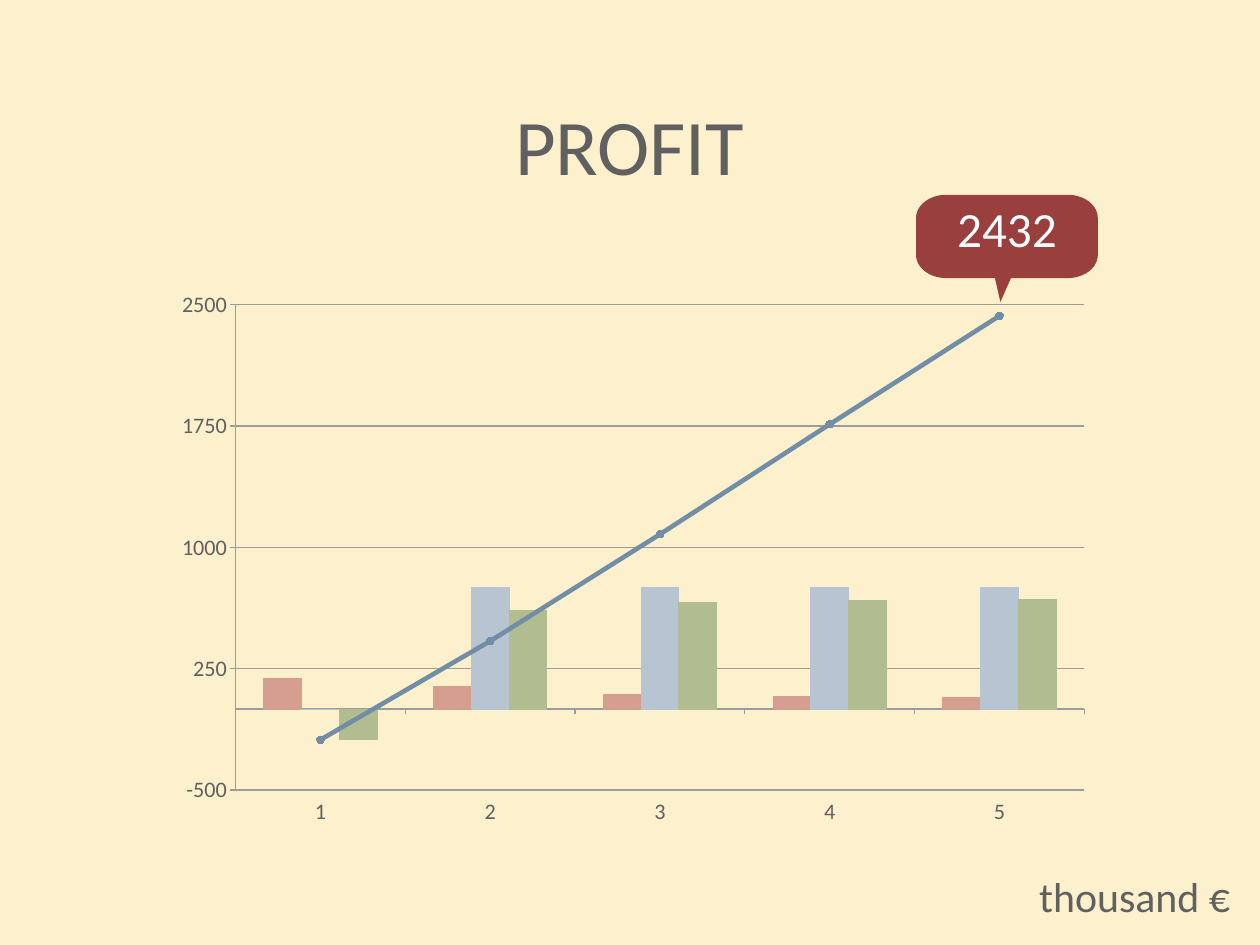
"""Build the profit slide: a column and line chart with a callout on the last value."""
from dataclasses import dataclass
from math import cos, radians, sin

from pptx import Presentation
from pptx.chart.chart import Chart
from pptx.chart.data import CategoryChartData
from pptx.dml.color import RGBColor
from pptx.enum.chart import XL_CHART_TYPE, XL_MARKER_STYLE, XL_TICK_LABEL_POSITION, XL_TICK_MARK
from pptx.enum.text import MSO_ANCHOR, PP_ALIGN
from pptx.oxml import parse_xml
from pptx.oxml.ns import nsdecls, qn
from pptx.slide import Slide
from pptx.text.text import TextFrame
from pptx.util import Inches, Length, Pt

SLIDE_WIDTH, SLIDE_HEIGHT = 14.22, 10.67
COLUMNS, ROWS = 100, 75
CREAM, GREY, RULE, RED, WHITE = "FCF0CD", "606060", "9C9C9C", "993F3E", "FEFDFF"
FONT = "Calibri"


@dataclass(frozen=True)
class Box:
    column: float
    row: float
    columns: float
    rows: float


@dataclass(frozen=True)
class Label:
    words: str
    size: int
    colour: str
    box: Box
    wrap: bool = True
    spacing: float = 1.0


@dataclass(frozen=True)
class Series:
    name: str
    values: tuple[int, ...]
    colour: str
    line_width: float = 0.75


LABELS = (
    Label("thousand €", 34, GREY, Box(82.07, 68.9, 15.96, 4.43), wrap=False),
    Label("PROFIT", 64, GREY, Box(15.4, 6.4, 69.13, 10.97), spacing=0.9),
)
CHART_BOX = Box(13.29, 22.14, 73.14, 44.28)
PLOT_SHARES = {"x": 0.074, "y": 0.046, "w": 0.921, "h": 0.87}
YEARS = ("1", "2", "3", "4", "5")
BARS = (
    Series("Series 1", (190, 140, 90, 80, 70), "D69D91"),
    Series("Series 2", (0, 750, 750, 750, 750), "B7C5D2"),
    Series("Series 3", (-190, 610, 660, 670, 680), "B2BC91"),
)
TOTAL = Series("Series 4", (-190, 420, 1080, 1760, 2430), "728EA6", 3.75)
CALLOUT_BOX = Box(72.71, 15.46, 14.42, 6.61)
CORNER = (2.39, 1.83)
TAIL = ((80.24, 22.07), (79.4, 23.97), (78.97, 22.07))


def across(columns: float) -> Length:
    """Turn grid columns into a length."""
    return Inches(columns * SLIDE_WIDTH / COLUMNS)


def down(rows: float) -> Length:
    """Turn grid rows into a length."""
    return Inches(rows * SLIDE_HEIGHT / ROWS)


def place(box: Box) -> tuple[Length, Length, Length, Length]:
    """Give the left, top, width and height of a grid box."""
    return across(box.column), down(box.row), across(box.columns), down(box.rows)


def paint(target, colour: str) -> None:
    """Give a fill or a font a colour."""
    if hasattr(target, "solid"):
        target.solid()
        target.fore_color.rgb = RGBColor.from_string(colour)
    else:
        target.color.rgb = RGBColor.from_string(colour)


def stroke(line, colour: str, width: float) -> None:
    """Give a line a colour and a width."""
    paint(line.fill, colour)
    line.width = Pt(width)


def style_font(font, size: int, colour: str, name: str = FONT) -> None:
    """Set the face, size and colour of a font."""
    font.name, font.size = name, Pt(size)
    paint(font, colour)


def write(frame: TextFrame, words: str, size: int, colour: str, anchor: MSO_ANCHOR) -> None:
    """Put centred words into a text frame."""
    frame.margin_left = frame.margin_right = Inches(0.04)
    frame.margin_top = frame.margin_bottom = Inches(0.04)
    frame.vertical_anchor = anchor
    frame.text = words
    paragraph = frame.paragraphs[0]
    paragraph.alignment = PP_ALIGN.CENTER
    style_font(paragraph.runs[0].font, size, colour)


def draw_label(slide: Slide, label: Label) -> None:
    """Draw one line of text."""
    frame = slide.shapes.add_textbox(*place(label.box)).text_frame
    frame.word_wrap = label.wrap
    write(frame, label.words, label.size, label.colour, MSO_ANCHOR.MIDDLE)
    frame.paragraphs[0].line_spacing = label.spacing


def corner(column: float, row: float, start: int) -> list[tuple[float, float]]:
    """Trace a quarter ellipse clockwise around a centre."""
    turns = [radians(start + step) for step in range(0, 91, 6)]
    return [(column + CORNER[0] * cos(turn), row + CORNER[1] * sin(turn)) for turn in turns]


def draw_callout(slide: Slide, words: str) -> None:
    """Draw the rounded callout that points at the last value."""
    box = CALLOUT_BOX
    left, right = box.column + CORNER[0], box.column + box.columns - CORNER[0]
    top, bottom = box.row + CORNER[1], box.row + box.rows - CORNER[1]
    outline = [*corner(left, top, 180), *corner(right, top, 270), *corner(right, bottom, 0),
               *TAIL, *corner(left, bottom, 90)]
    points = [(across(column), down(row)) for column, row in outline]
    builder = slide.shapes.build_freeform(*points[0])
    builder.add_line_segments(points[1:], close=True)
    callout = builder.convert_to_shape()
    callout.shadow.inherit = False
    paint(callout.fill, RED)
    callout.line.fill.background()
    write(callout.text_frame, words, 40, WHITE, MSO_ANCHOR.TOP)


def style_axes(chart: Chart) -> None:
    """Set the scale, lines and labels of both axes."""
    for axis in (chart.category_axis, chart.value_axis):
        axis.major_tick_mark, axis.minor_tick_mark = XL_TICK_MARK.OUTSIDE, XL_TICK_MARK.NONE
        style_font(axis.tick_labels.font, 18, GREY)
        stroke(axis.format.line, RULE, 1)
    chart.category_axis.tick_label_position = XL_TICK_LABEL_POSITION.LOW
    scale = chart.value_axis
    scale.minimum_scale, scale.maximum_scale, scale.major_unit = -500, 2500, 750
    scale.has_major_gridlines = True
    stroke(scale.major_gridlines.format.line, RULE, 1)


def turn_total_into_line(chart: Chart) -> None:
    """Move the last series into a line chart on the same axes."""
    columns = chart.plots[0]._element
    line_chart = parse_xml(
        f'<c:lineChart {nsdecls("c")}><c:grouping val="standard"/><c:varyColors val="0"/>'
        '<c:marker val="1"/></c:lineChart>')
    total = columns.findall(qn("c:ser"))[-1]
    for bar_only in total.findall(qn("c:invertIfNegative")):
        total.remove(bar_only)
    line_chart.insert(2, total)
    for axis_id in columns.findall(qn("c:axId")):
        line_chart.append(parse_xml(f'<c:axId {nsdecls("c")} val="{axis_id.get("val")}"/>'))
    columns.addnext(line_chart)


def draw_chart(slide: Slide) -> None:
    """Draw the columns and the total line."""
    data = CategoryChartData()
    data.categories = YEARS
    for series in (*BARS, TOTAL):
        data.add_series(series.name, series.values)
    frame = slide.shapes.add_chart(XL_CHART_TYPE.COLUMN_CLUSTERED, *place(CHART_BOX), data)
    chart = frame.chart
    chart.has_title = chart.has_legend = False
    style_font(chart.font, 10, GREY, "Roboto")
    style_axes(chart)
    turn_total_into_line(chart)
    columns, line = chart.plots
    columns.gap_width, columns.overlap, columns.vary_by_categories = 150, 0, False
    for bar, series in zip(columns.series, BARS):
        bar.invert_if_negative = False
        paint(bar.format.fill, series.colour)
        stroke(bar.format.line, series.colour, series.line_width)
    total = line.series[0]
    total.smooth = False
    stroke(total.format.line, TOTAL.colour, TOTAL.line_width)
    total.marker.style, total.marker.size = XL_MARKER_STYLE.CIRCLE, 6
    paint(total.marker.format.fill, TOTAL.colour)
    stroke(total.marker.format.line, TOTAL.colour, 0.75)
    shares = "".join(f'<c:{side} val="{share}"/>' for side, share in PLOT_SHARES.items())
    columns._element.getparent().insert(0, parse_xml(
        f'<c:layout {nsdecls("c")}><c:manualLayout><c:layoutTarget val="inner"/>'
        f'<c:xMode val="edge"/><c:yMode val="edge"/>{shares}</c:manualLayout></c:layout>'))


def main() -> None:
    """Build the slide and save it."""
    deck = Presentation()
    deck.slide_width, deck.slide_height = Inches(SLIDE_WIDTH), Inches(SLIDE_HEIGHT)
    slide = deck.slides.add_slide(deck.slide_layouts[6])
    paint(slide.background.fill, CREAM)
    draw_callout(slide, "2432")
    for label in LABELS:
        draw_label(slide, label)
    draw_chart(slide)
    deck.save("out.pptx")


if __name__ == "__main__":
    main()
